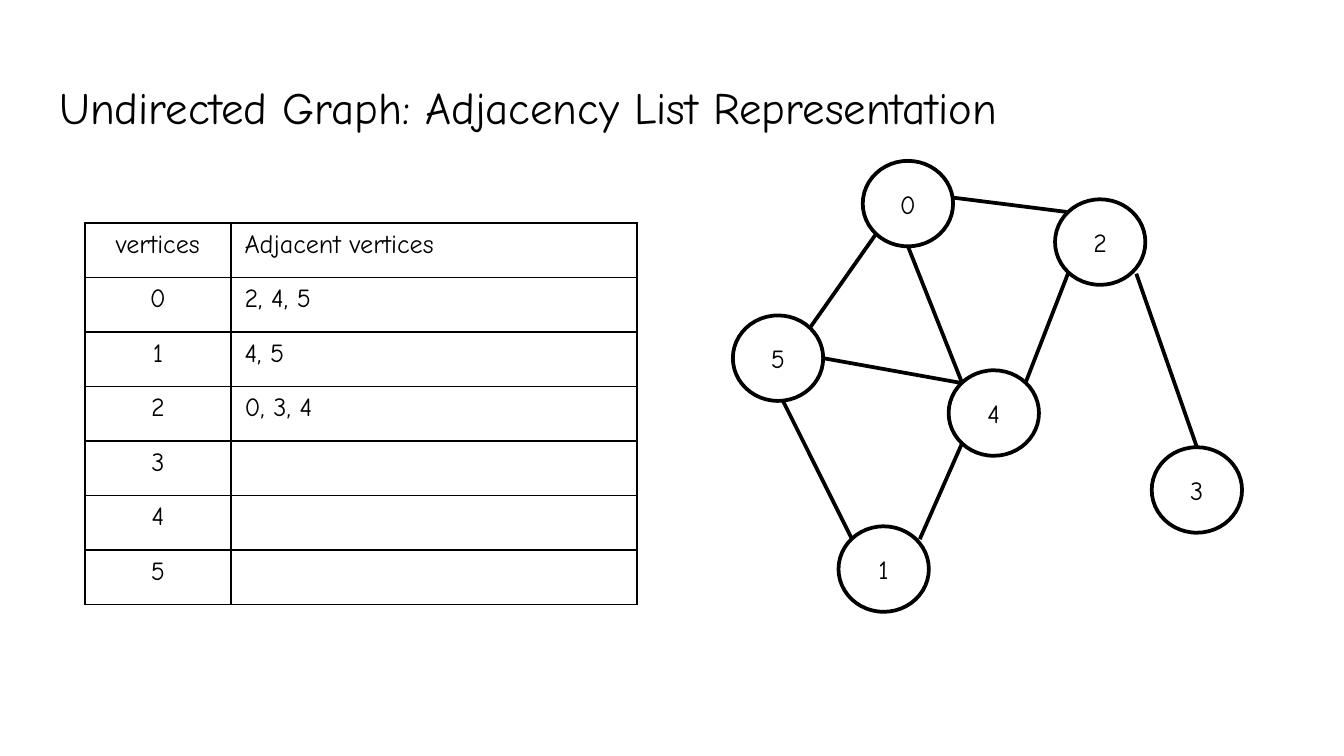
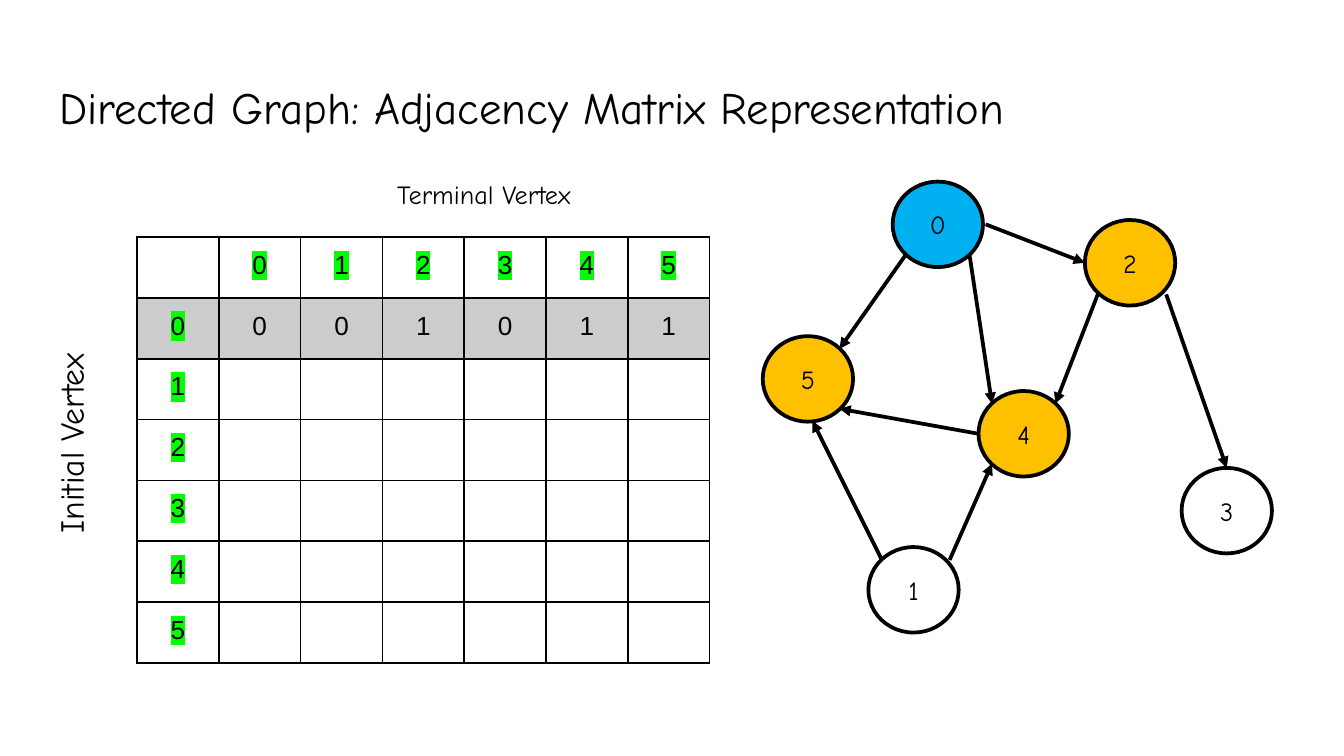
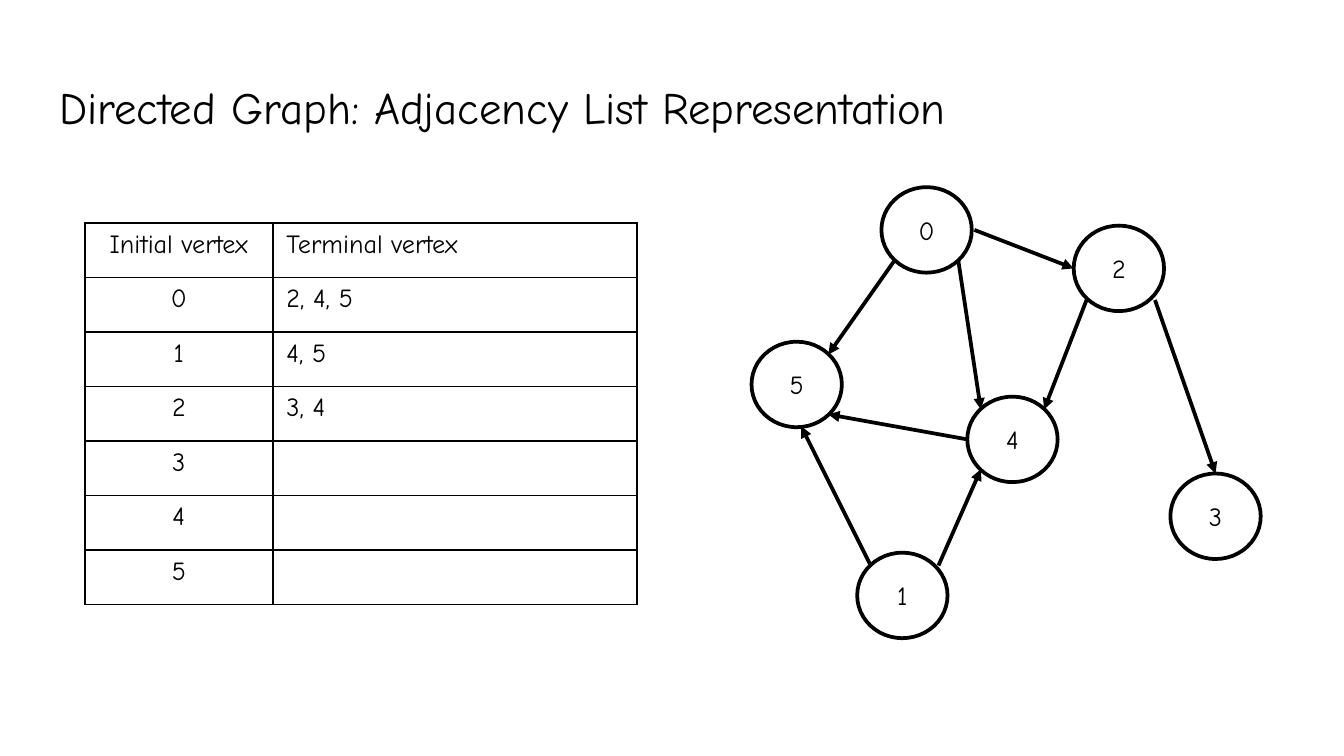
import pptx
import pptx.dml.color
import pptx.enum.dml
import pptx.enum.shapes
import pptx.enum.text
import pptx.oxml
import pptx.oxml.ns
import pptx.util

Pt = pptx.util.Pt
ALIGN = pptx.enum.text.PP_ALIGN
ANCHOR = pptx.enum.text.MSO_ANCHOR

COLORS = {
    "ink": "000000",
    "paper": "FFFFFF",
    "start": "00B0F0",
    "neighbor": "FFC000",
    "row": "CCCCCC",
    "marker": "00FF00",
}
FONT = "Comic Neue"
MATRIX_FONT = "Arial"
INSET = 7.2
NODE_W, NODE_H = 48.4, 45.8

NODE_OFFSETS = {
    0: (0, 0),
    2: (103, 20.6),
    4: (46, 112.2),
    3: (154.8, 153.4),
    1: (-13, 195.8),
    5: (-69.6, 82.8),
}

ANCHORS = {
    "top": (0.5, 0),
    "bottom": (0.55, 0.99),
    "mid bottom": (0.5, 1),
    "left": (0, 0.5),
    "right": (1, 0.5),
    "outer right": (1.03, 0.5),
    "upper right": (1, 0.43),
    "top left": (0.15, 0.15),
    "top right": (0.85, 0.15),
    "outer top right": (0.9, 0.15),
    "bottom left": (0.15, 0.85),
    "bottom right": (0.85, 0.85),
    "outer bottom right": (0.9, 0.87),
}

SHARED_EDGES = [
    (0, "bottom left", 5, "top right"),
    (1, "top left", 5, "bottom"),
    (1, "outer top right", 4, "bottom left"),
    (2, "bottom left", 4, "top right"),
    (2, "outer bottom right", 3, "top"),
]
UNDIRECTED_EDGES = SHARED_EDGES + [
    (0, "mid bottom", 4, "top left"),
    (0, "upper right", 2, "top left"),
    (5, "right", 4, "top left"),
]
DIRECTED_EDGES = SHARED_EDGES + [
    (0, "outer right", 2, "left"),
    (0, "bottom right", 4, "top left"),
    (4, "left", 5, "bottom right"),
]


def rgb(name):
    return pptx.dml.color.RGBColor.from_string(COLORS[name])


def add_run(p, text, size, font=FONT):
    r = p.add_run()
    r.text = text
    r.font.size = Pt(size)
    r.font.color.rgb = rgb("ink")
    r.font.name = font
    return r


def highlight(r):
    mark = pptx.oxml.parse_xml(
        f'<a:highlight {pptx.oxml.ns.nsdecls("a")}>'
        f'<a:srgbClr val="{COLORS["marker"]}"/></a:highlight>'
    )
    r.font._element[0].addnext(mark)


def set_frame(tf, anchor=ANCHOR.TOP):
    tf.word_wrap = True
    tf.auto_size = pptx.enum.text.MSO_AUTO_SIZE.NONE
    tf.vertical_anchor = anchor
    tf.margin_left = tf.margin_right = tf.margin_top = tf.margin_bottom = Pt(INSET)


def add_titled_slide(prs, title):
    s = prs.slides.add_slide(prs.slide_layouts[5])
    sp = s.shapes.title
    sp.left, sp.top, sp.width, sp.height = Pt(24.5), Pt(35.3), Pt(671), Pt(45.4)
    set_frame(sp.text_frame)
    p = sp.text_frame.paragraphs[0]
    p.alignment = ALIGN.LEFT
    add_run(p, title, 24)
    return s


def add_label(s, text, left, top, width, height, size, rotation=0):
    sp = s.shapes.add_textbox(Pt(left), Pt(top), Pt(width), Pt(height))
    sp.rotation = rotation
    set_frame(sp.text_frame)
    p = sp.text_frame.paragraphs[0]
    p.alignment = ALIGN.CENTER
    add_run(p, text, size)


def add_node(s, label, left, top, fill):
    sp = s.shapes.add_shape(
        pptx.enum.shapes.MSO_SHAPE.FLOWCHART_CONNECTOR,
        Pt(left), Pt(top), Pt(NODE_W), Pt(NODE_H),
    )
    sp.shadow.inherit = False
    sp.fill.solid()
    sp.fill.fore_color.rgb = rgb(fill)
    sp.line.color.rgb = rgb("ink")
    sp.line.width = Pt(2)
    set_frame(sp.text_frame, ANCHOR.MIDDLE)
    p = sp.text_frame.paragraphs[0]
    p.alignment = ALIGN.CENTER
    add_run(p, label, 14)


def add_edge(s, start, end, arrow):
    cx = s.shapes.add_connector(
        pptx.enum.shapes.MSO_CONNECTOR.STRAIGHT,
        *(Pt(value) for value in start + end),
    )
    cx.line.color.rgb = rgb("ink")
    cx.line.width = Pt(2)
    sp_pr = cx._element.spPr
    if arrow:
        tail = pptx.oxml.parse_xml(
            f'<a:tailEnd {pptx.oxml.ns.nsdecls("a")} type="triangle"/>'
        )
        sp_pr.find(pptx.oxml.ns.qn("a:ln")).append(tail)
    sp_pr.append(pptx.oxml.parse_xml(f'<a:effectLst {pptx.oxml.ns.nsdecls("a")}/>'))


def add_graph(s, left, top, edges, directed, fills=None):
    fills = fills or {}
    places = {n: (left + dx, top + dy) for n, (dx, dy) in NODE_OFFSETS.items()}
    for n, (x, y) in places.items():
        add_node(s, str(n), x, y, fills.get(n, "paper"))

    def anchor_point(n, anchor):
        x, y = places[n]
        fx, fy = ANCHORS[anchor]
        return x + fx * NODE_W, y + fy * NODE_H

    for source, leave, target, arrive in edges:
        add_edge(s, anchor_point(source, leave), anchor_point(target, arrive), directed)


def add_borders(cell):
    tc_pr = cell._tc.get_or_add_tcPr()
    for side in "LRTB":
        tc_pr.append(pptx.oxml.parse_xml(
            f'<a:ln{side} {pptx.oxml.ns.nsdecls("a")} w="{Pt(1)}"><a:solidFill>'
            f'<a:srgbClr val="{COLORS["ink"]}"/></a:solidFill></a:ln{side}>'
        ))


def add_grid(s, left, top, col_widths, row_height, rows):
    frame = s.shapes.add_table(
        len(rows), len(col_widths), Pt(left), Pt(top),
        Pt(sum(col_widths)), Pt(row_height * len(rows)),
    )
    table = frame.table
    table.first_row = table.horz_banding = False
    for column, width in zip(table.columns, col_widths):
        column.width = Pt(width)
    for row in table.rows:
        row.height = Pt(row_height)
    for cell in table.iter_cells():
        add_borders(cell)
        cell.fill.background()
    return table


def add_adjacency_list(s, headers, col_widths, neighbors):
    rows = [headers] + [(str(n), text) for n, text in enumerate(neighbors)]
    table = add_grid(s, 45.4, 119.5, col_widths, 29.2, rows)
    for i, (vertex, adjacent) in enumerate(rows):
        p = table.cell(i, 0).text_frame.paragraphs[0]
        p.alignment = ALIGN.CENTER
        add_run(p, vertex, 14)
        if adjacent:
            add_run(table.cell(i, 1).text_frame.paragraphs[0], adjacent, 14)


def add_adjacency_matrix(s, first_row):
    vertices = [str(n) for n in range(6)]
    rows = [[""] + vertices, ["0"] + first_row]
    rows += [[v] + [""] * len(vertices) for v in vertices[1:]]
    table = add_grid(s, 73.4, 127, [43.85] * 7, 32.6, rows)
    for i, row in enumerate(rows):
        for j, text in enumerate(row):
            cell = table.cell(i, j)
            if i == 1:
                cell.fill.solid()
                cell.fill.fore_color.rgb = rgb("row")
            if not text:
                continue
            cell.margin_top = cell.margin_bottom = Pt(INSET)
            p = cell.text_frame.paragraphs[0]
            p.alignment = ALIGN.CENTER
            r = add_run(p, text, 14, MATRIX_FONT)
            if i == 0 or j == 0:
                highlight(r)


def main():
    prs = pptx.Presentation()
    prs.slide_width, prs.slide_height = Pt(720), Pt(405)

    s = add_titled_slide(prs, "Undirected Graph: Adjacency List Representation")
    add_graph(s, 462.2, 86.2, UNDIRECTED_EDGES, directed=False)
    add_adjacency_list(
        s, ("vertices", "Adjacent vertices"), (78.4, 217.5),
        ["2, 4, 5", "4, 5", "0, 3, 4", "", "", ""],
    )

    s = add_titled_slide(prs, "Directed Graph: Adjacency Matrix Representation")
    add_adjacency_matrix(s, ["0", "0", "1", "0", "1", "1"])
    add_label(s, "Initial Vertex", -74.2, 221.8, 219.6, 31.7, 18, rotation=270)
    add_label(s, "Terminal Vertex", 70.6, 88.6, 377.3, 25.2, 14)
    fills = {0: "start", 2: "neighbor", 4: "neighbor", 5: "neighbor"}
    add_graph(s, 478.2, 97.3, DIRECTED_EDGES, directed=True, fills=fills)

    s = add_titled_slide(prs, "Directed Graph: Adjacency List Representation")
    add_graph(s, 472.2, 100.3, DIRECTED_EDGES, directed=True)
    add_adjacency_list(
        s, ("Initial vertex", "Terminal vertex"), (100.8, 195.1),
        ["2, 4, 5", "4, 5", "3, 4", "", "", ""],
    )

    prs.save("out.pptx")


if __name__ == "__main__":
    main()
